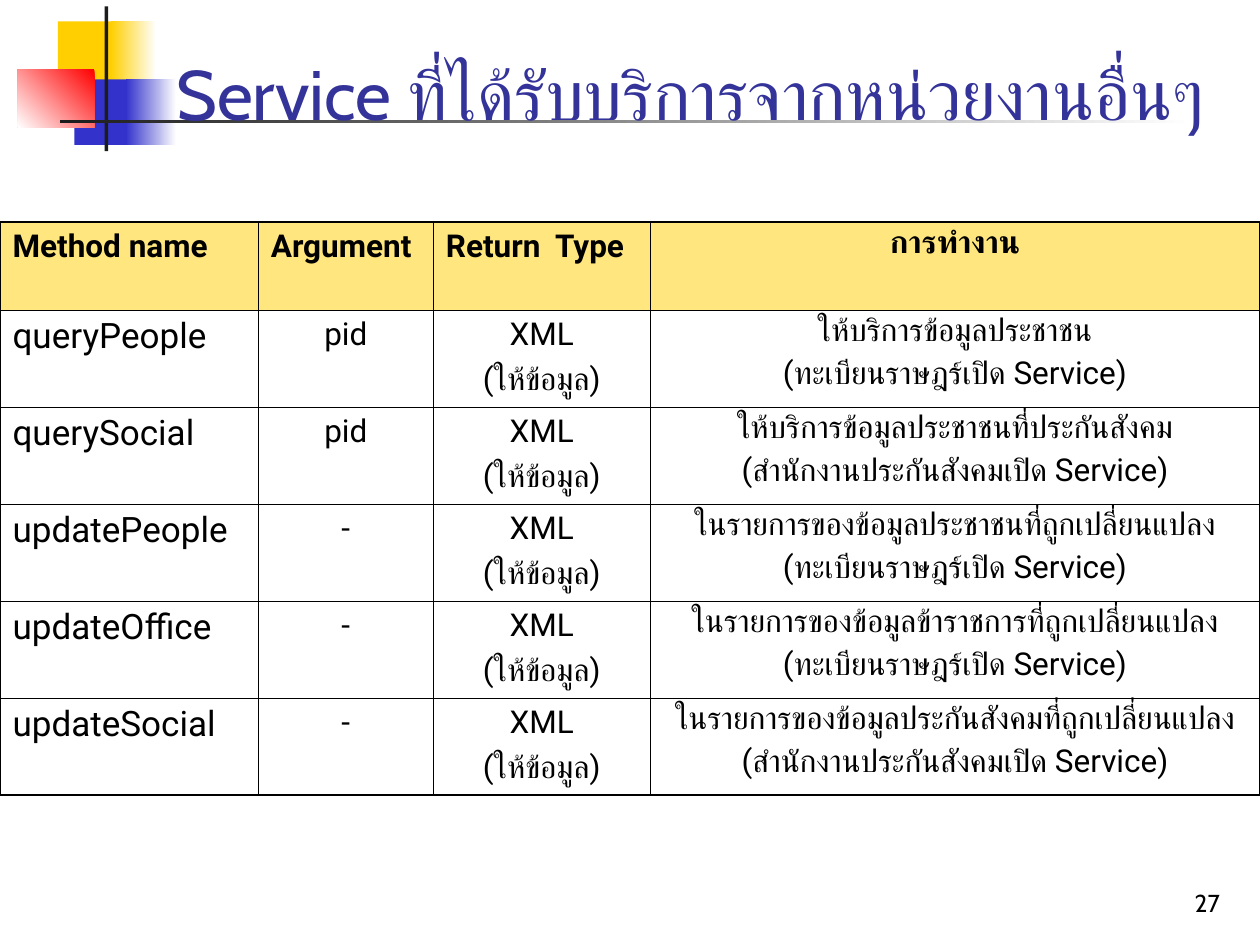
from lxml import etree
from pptx import Presentation
from pptx.dml.color import RGBColor
from pptx.enum.shapes import MSO_SHAPE
from pptx.enum.text import MSO_ANCHOR, PP_ALIGN
from pptx.oxml.ns import qn
from pptx.util import Inches, Pt

RECTANGLE = MSO_SHAPE.RECTANGLE
BOTTOM = MSO_ANCHOR.BOTTOM
LEFT, CENTER, RIGHT = PP_ALIGN.LEFT, PP_ALIGN.CENTER, PP_ALIGN.RIGHT

WHITE, BLACK, CHARCOAL = "FFFFFF", "000000", "1C1C1C"
GOLD, BLUE, RED, NAVY = "FFCF01", "3333CC", "FF0000", "333399"
HEADING_FONT, TABLE_FONT = "Cabin", "Roboto"
OUTER_LINE, INNER_LINE = 1.08, 0.45

# Left, top, width, height, gradient start (None for solid), colour, angle
DECORATION = [
    (0.46, 0.17, 0.48, 0.52, None, GOLD, 0),
    (0.88, 0.17, 0.36, 0.52, WHITE, GOLD, 180),
    (0.59, 0.63, 0.46, 0.52, None, BLUE, 0),
    (1, 0.63, 0.4, 0.52, WHITE, BLUE, 180),
    (0.14, 0.55, 0.61, 0.46, RED, WHITE, 225),
    (0.83, 0.05, 0.03, 1.15, None, CHARCOAL, 0),
    (0.48, 0.95, 9, 0.03, WHITE, CHARCOAL, 180),
]

COLUMN_WIDTHS = [2.05, 1.39, 1.72, 4.84]
ROW_HEIGHTS = [0.7] + [0.77] * 5
HEADER = ["Method name", "Argument", "Return  Type", "การทำงาน"]
RETURN_TYPE = "XML\n(ให้ข้อมูล)"
CIVIL_REGISTRY = "(ทะเบียนราษฎร์เปิด Service)"
SOCIAL_SECURITY = "(สำนักงานประกันสังคมเปิด Service)"
METHODS = [
    ("queryPeople", "pid", "ให้บริการข้อมูลประชาชน", CIVIL_REGISTRY),
    ("querySocial", "pid", "ให้บริการข้อมูลประชาชนที่ประกันสังคม", SOCIAL_SECURITY),
    ("updatePeople", "-", "ในรายการของข้อมูลประชาชนที่ถูกเปลี่ยนแปลง", CIVIL_REGISTRY),
    ("updateOffice", "-", "ในรายการของข้อมูลข้าราชการที่ถูกเปลี่ยนแปลง", CIVIL_REGISTRY),
    ("updateSocial", "-", "ในรายการของข้อมูลประกันสังคมที่ถูกเปลี่ยนแปลง", SOCIAL_SECURITY),
]


def color(hex_code):
    return RGBColor.from_string(hex_code)


def write_text(frame, text, *, font, size, fill=BLACK, bold=False,
               align=LEFT, space_before=0):
    """Write one paragraph per line; space goes only between paragraphs."""
    frame.word_wrap = True
    for index, line in enumerate(text.split("\n")):
        paragraph = frame.add_paragraph() if index else frame.paragraphs[0]
        paragraph.alignment = align
        paragraph.space_before = Pt(space_before if index else 0)
        run = paragraph.add_run()
        run.text = line
        run.font.name = font
        run.font.size = Pt(size)
        run.font.bold = bold
        run.font.color.rgb = color(fill)


def set_borders(cell, widths):
    """Draw the four cell borders; widths maps L, R, T, B to points."""
    properties = cell._tc.get_or_add_tcPr()
    for index, side in enumerate("LRTB"):
        line = etree.Element(qn(f"a:ln{side}"), w=str(Pt(widths[side])))
        solid = etree.SubElement(line, qn("a:solidFill"))
        etree.SubElement(solid, qn("a:srgbClr"), val=BLACK)
        properties.insert(index, line)


def set_half_transparent(cell):
    swatch = cell._tc.tcPr.find(f"{qn('a:solidFill')}/{qn('a:srgbClr')}")
    etree.SubElement(swatch, qn("a:alpha"), val="50000")


class SlideBuilder:
    def __init__(self, slide):
        self.slide = slide

    def rectangle(self, left, top, width, height, start, end, angle):
        shape = self.slide.shapes.add_shape(
            RECTANGLE, Inches(left), Inches(top), Inches(width), Inches(height))
        shape.shadow.inherit = False
        shape.line.fill.background()
        if start is None:
            shape.fill.solid()
            shape.fill.fore_color.rgb = color(end)
            return
        shape.fill.gradient()
        shape.fill.gradient_angle = angle
        for stop, hex_code in zip(shape.fill.gradient_stops, (start, end)):
            stop.color.rgb = color(hex_code)

    def text_box(self, left, top, width, height, text, **text_format):
        box = self.slide.shapes.add_textbox(
            Inches(left), Inches(top), Inches(width), Inches(height))
        box.text_frame.vertical_anchor = BOTTOM
        write_text(box.text_frame, text, font=HEADING_FONT, **text_format)

    def table(self, left, top, rows):
        last_row, last_column = len(rows) - 1, len(COLUMN_WIDTHS) - 1
        table = self.slide.shapes.add_table(
            len(rows), len(COLUMN_WIDTHS), Inches(left), Inches(top),
            Inches(sum(COLUMN_WIDTHS)), Inches(sum(ROW_HEIGHTS))).table
        table.first_row = table.horz_banding = False
        for column, width in zip(table.columns, COLUMN_WIDTHS):
            column.width = Inches(width)
        for row, height in zip(table.rows, ROW_HEIGHTS):
            row.height = Inches(height)
        for r, texts in enumerate(rows):
            for c, text in enumerate(texts):
                self.table_cell(table.cell(r, c), text, r == 0, c)
                edges = {"L": c == 0, "R": c == last_column,
                         "T": r == 0, "B": r == last_row}
                set_borders(table.cell(r, c), {
                    side: OUTER_LINE if outer else INNER_LINE
                    for side, outer in edges.items()})

    def table_cell(self, cell, text, is_header, column):
        if is_header:
            cell.fill.solid()
            cell.fill.fore_color.rgb = color(GOLD)
            set_half_transparent(cell)
        else:
            cell.fill.background()
        left_aligned = column < 3 if is_header else column == 0
        is_method_name = column == 0 and not is_header
        write_text(cell.text_frame, text, font=TABLE_FONT,
                   size=20 if is_method_name else 18, bold=is_header,
                   align=LEFT if left_aligned else CENTER, space_before=4.5)


def main():
    presentation = Presentation()
    presentation.slide_width = Inches(10)
    presentation.slide_height = Inches(7.5)
    builder = SlideBuilder(
        presentation.slides.add_slide(presentation.slide_layouts[6]))

    for rectangle in DECORATION:
        builder.rectangle(*rectangle)
    builder.text_box(1.3, 0.52, 8.52, 0.6,
                     "Service ที่ได้รับบริการจากหน่วยงานอื่นๆ", size=40, fill=NAVY)
    builder.table(0, 1.76, [HEADER] + [
        (name, argument, RETURN_TYPE, f"{action}\n{provider}")
        for name, argument, action, provider in METHODS])
    builder.text_box(7.7, 6.83, 2.08, 0.5, "27", size=14, align=RIGHT)

    presentation.save("out.pptx")


if __name__ == "__main__":
    main()
